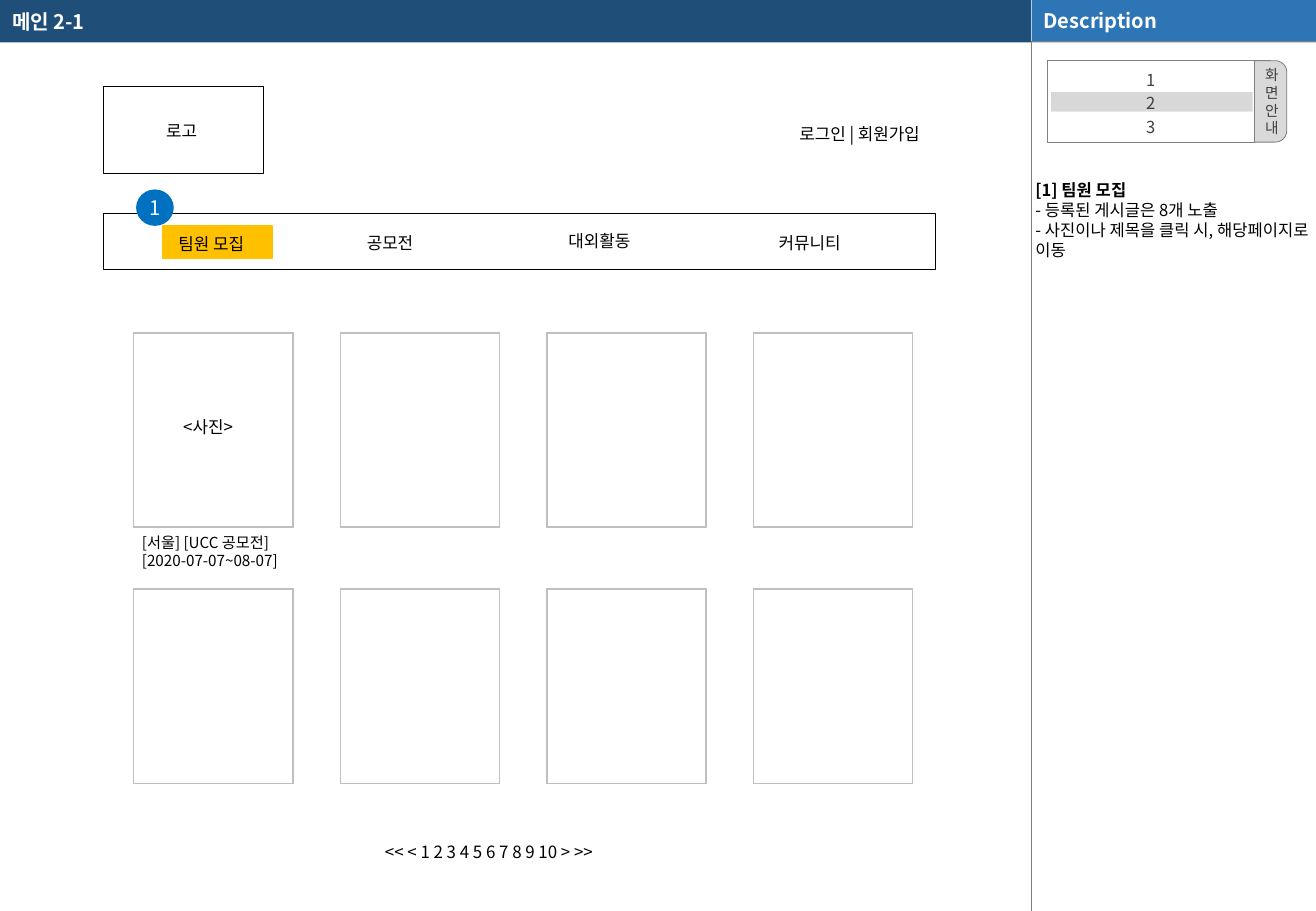
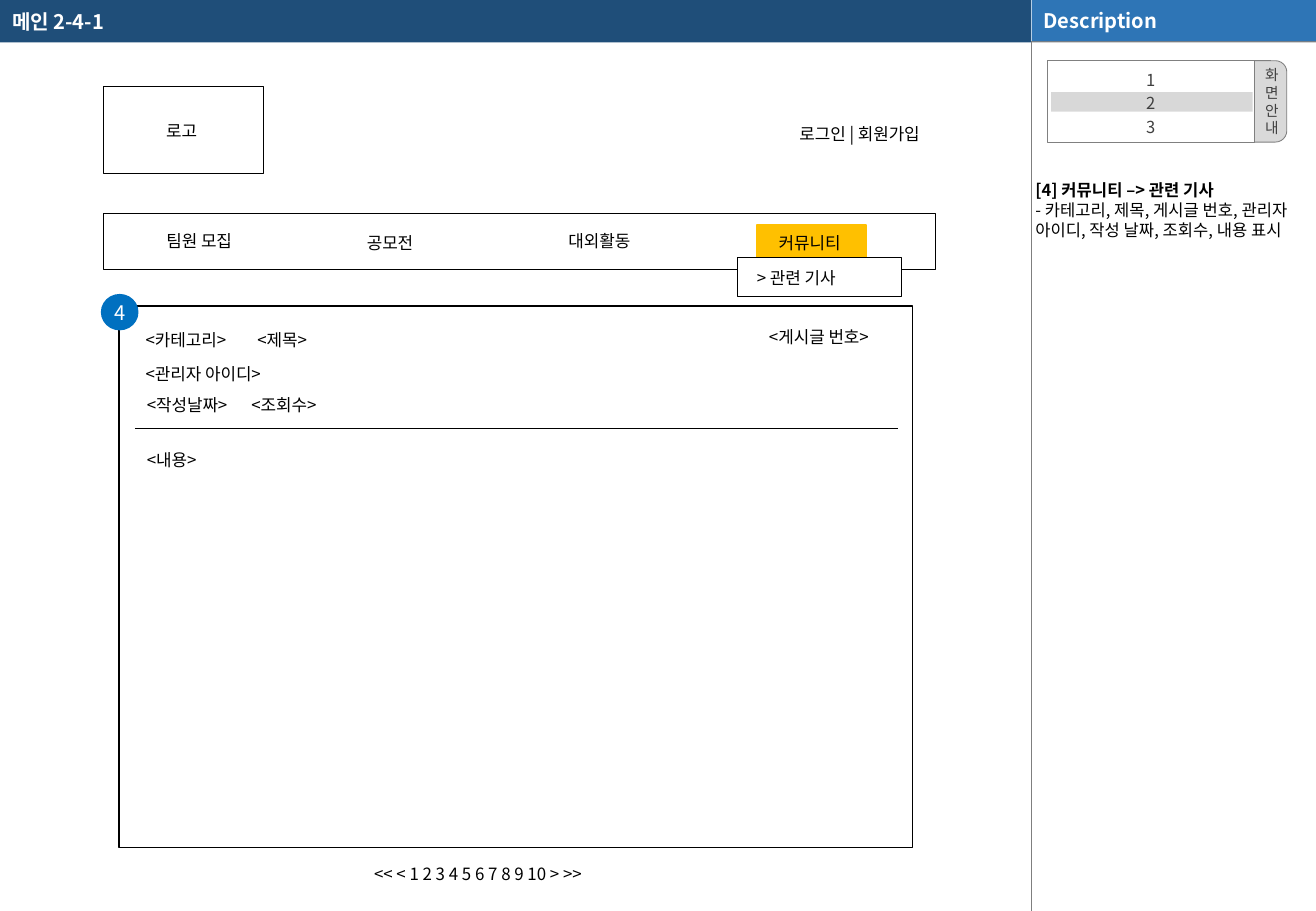
"""Build two wireframe screens with a shared header, navigation and description column."""
from dataclasses import dataclass
from typing import NamedTuple, Optional

from lxml import etree
from pptx import Presentation
from pptx import util as u
from pptx.dml.color import RGBColor
from pptx.enum import shapes, text
from pptx.oxml import ns

CELL = u.Inches(0.1)
COLS, ROWS = 108.3, 75
SIDE = 84.9
FONT = "Noto Sans CJK KR"
NAVY, BLUE, MARK, GOLD = "1F4E79", "2E75B6", "0070C0", "FFC000"
BLACK, WHITE, DARK, GRAY = "000000", "FFFFFF", "404040", "808080"
RULE, PALE, CARD = "7F7F7F", "D9D9D9", "BFBFBF"
RECT, OVAL = shapes.MSO_SHAPE.RECTANGLE, shapes.MSO_SHAPE.OVAL
ROUND = shapes.MSO_SHAPE.ROUNDED_RECTANGLE
LEFT, CENTER, RIGHT = text.PP_ALIGN.LEFT, text.PP_ALIGN.CENTER, text.PP_ALIGN.RIGHT
TOP, MIDDLE = text.MSO_ANCHOR.TOP, text.MSO_ANCHOR.MIDDLE


class Box(NamedTuple):
    col: float
    row: float
    cols: float
    rows: float

    def emu(self) -> list[int]:
        return [round(v * CELL) for v in self]


class Label(NamedTuple):
    text: str
    col: float
    row: float
    cols: float
    rows: float = 2.7
    size: float = 10


@dataclass
class Screen:
    title: str
    highlight: Box
    first_nav: tuple[float, float]
    pager: tuple[float, float]
    marker: tuple[str, float, float]
    notes: str


SCREENS = [
    Screen("메인 2-1", Box(13.4, 18.6, 9, 2.7), (13.7, 18.7), (30.7, 68.8),
           ("1", 11.2, 15.6),
           "[1] 팀원 모집\n- 등록된 게시글은 8개 노출\n"
           "- 사진이나 제목을 클릭 시, 해당페이지로 이동"),
    Screen("메인 2-4-1", Box(62.3, 18.5, 9, 2.7), (12.7, 18.5), (29.8, 70.6),
           ("4", 8.3, 24.2),
           "[4] 커뮤니티 –> 관련 기사\n- 카테고리, 제목, 게시글 번호, "
           "관리자 아이디, 작성 날짜, 조회수, 내용 표시"),
]
COMMON_LABELS = [
    Label("로고", 12.7, 9.4, 6),
    Label("로그인 | 회원가입", 64.8, 9.7, 14.5),
    Label("공모전", 29.2, 18.6, 6.8),
    Label("대외활동", 45.8, 18.5, 8.1),
    Label("커뮤니티", 63.1, 18.6, 8.5),
]
CARD_LABELS = [
    Label("<사진>", 14.1, 33.8, 9),
    Label("[서울] [UCC 공모전]\n[2020-07-07~08-07]", 10.7, 43.4, 15, 4, 9),
]
POST_LABELS = [
    Label("<게시글 번호>", 62.3, 26.4, 12.2),
    Label("<카테고리>", 11, 26.6, 10.7),
    Label("<제목>", 20.2, 26.6, 8),
    Label("<관리자 아이디>", 11, 29.4, 13.8),
    Label("<작성날짜>", 11.1, 32, 10.6),
    Label("<조회수>", 19.7, 32, 9),
    Label("<내용>", 11.1, 36.5, 8.6),
]


def rgb(value: str) -> RGBColor:
    return RGBColor.from_string(value)


def write(sp, words: str, size: float, color: str = BLACK, bold: bool = False,
          align=LEFT, anchor=MIDDLE, insets=(1, 0.5, 1, 0.5), leading: float = 1.2) -> None:
    tf = sp.text_frame
    tf.text = words
    tf.word_wrap = True
    tf.auto_size = text.MSO_AUTO_SIZE.NONE
    tf.vertical_anchor = anchor
    tf.margin_left, tf.margin_top, tf.margin_right, tf.margin_bottom = (
        round(v * CELL) for v in insets)
    for p in tf.paragraphs:
        p.alignment = align
        p.space_before = u.Pt(0)
        p.line_spacing = u.Pt(round(size * leading, 1))
        for r in p.runs:
            r.font.name = FONT
            r.font.size = u.Pt(size)
            r.font.bold = bold
            r.font.color.rgb = rgb(color)
            ea = etree.SubElement(r._r.get_or_add_rPr(), ns.qn("a:ea"))
            ea.set("typeface", FONT)


def add_shape(s, box: Box, fill: Optional[str] = None, line: Optional[str] = None,
              width: float = 0.75, kind=RECT):
    sp = s.shapes.add_shape(kind, *box.emu())
    sp.shadow.inherit = False
    if fill:
        sp.fill.solid()
        sp.fill.fore_color.rgb = rgb(fill)
    else:
        sp.fill.background()
    if line:
        sp.line.color.rgb = rgb(line)
        sp.line.width = u.Pt(width)
    else:
        sp.line.fill.background()
    return sp


def add_line(s, start: tuple[float, float], end: tuple[float, float],
             color: str, width: float) -> None:
    ends = (round(v * CELL) for v in (*start, *end))
    line = s.shapes.add_connector(shapes.MSO_CONNECTOR.STRAIGHT, *ends)
    line.line.color.rgb = rgb(color)
    line.line.width = u.Pt(width)
    etree.SubElement(line._element.spPr, ns.qn("a:effectLst"))


def add_label(s, label: Label) -> None:
    box = Box(label.col, label.row, label.cols, label.rows)
    write(s.shapes.add_textbox(*box.emu()), label.text, label.size)


def add_card(s, box: Box) -> None:
    table = s.shapes.add_table(1, 1, *box.emu()).table
    table.first_row = table.horz_banding = False
    cell = table.cell(0, 0)
    tc_pr = cell._tc.get_or_add_tcPr()
    for side in ("lnL", "lnR", "lnT", "lnB"):
        ln = etree.SubElement(tc_pr, ns.qn(f"a:{side}"), w=str(u.Pt(1)))
        fill = etree.SubElement(ln, ns.qn("a:solidFill"))
        etree.SubElement(fill, ns.qn("a:srgbClr"), val=CARD)
    cell.fill.background()


def add_frame(s, title: str) -> None:
    sp = s.shapes.title
    sp.left, sp.top, sp.width, sp.height = Box(0, 0, SIDE, 3.5).emu()
    sp.fill.solid()
    sp.fill.fore_color.rgb = rgb(NAVY)
    write(sp, title, 11.9, WHITE, True)
    add_shape(s, Box(SIDE, 0, COLS - SIDE, 3.5), GRAY)
    add_line(s, (SIDE, 0), (SIDE, 3.5), WHITE, 0.25)
    add_line(s, (SIDE, 3.4), (SIDE, ROWS), RULE, 0.25)
    head = add_shape(s, Box(SIDE, 0, COLS - SIDE, 3.4), BLUE)
    write(head, "Description", 11.9, WHITE, True)


def add_guide(s) -> None:
    tab = add_shape(s, Box(100.9, 5, 5, 6.7), PALE, GRAY, 0.5, ROUND)
    tab.adjustments[0] = 0.188
    write(tab, "화\n면\n안\n내", 8.7, DARK, align=RIGHT, insets=(0, 0, 0.4, 0))
    steps = add_shape(s, Box(86.2, 5, 17, 6.7), WHITE, GRAY, 0.5)
    write(steps, "1\n2\n3", 9.8, DARK, align=CENTER, insets=(0.4,) * 4, leading=1.42)
    current = add_shape(s, Box(86.5, 7.6, 16.6, 1.6), DARK)
    color = current._element.spPr.find(".//" + ns.qn("a:srgbClr"))
    etree.SubElement(color, ns.qn("a:alpha"), val="20000")


def add_notes(s, notes: str) -> None:
    sp = s.shapes.add_textbox(*Box(84.8, 14.8, 23.5, 60.2).emu())
    write(sp, notes, 9.8, anchor=TOP, insets=(0.4, 0, 0.4, 0))
    for r in sp.text_frame.paragraphs[0].runs:
        r.font.bold = True


def add_cards(s) -> None:
    for i in range(8):
        row, col = divmod(i, 4)
        add_card(s, Box(11 + 17 * col, 27.4 + 21.1 * row, 13.1, 16))
    for label in CARD_LABELS:
        add_label(s, label)


def add_post(s) -> None:
    add_shape(s, Box(9.8, 25.2, 65.3, 44.6), WHITE, BLACK)
    for label in POST_LABELS:
        add_label(s, label)
    add_line(s, (11.1, 35.3), (73.9, 35.3), BLACK, 0.5)
    add_shape(s, Box(60.7, 21.2, 13.5, 3.2), WHITE, BLACK, 1)
    add_label(s, Label("> 관련 기사", 61.3, 21.5, 12.2))


def add_screen(prs, screen: Screen, add_content) -> None:
    s = prs.slides.add_slide(prs.slide_layouts[5])
    add_frame(s, screen.title)
    add_shape(s, screen.highlight, GOLD, GOLD, 1)
    add_shape(s, Box(8.5, 7.1, 13.2, 7.2), line=BLACK)
    add_shape(s, Box(8.5, 17.6, 68.5, 4.6), line=BLACK)
    for label in COMMON_LABELS:
        add_label(s, label)
    add_label(s, Label("팀원 모집", *screen.first_nav, 8.8))
    add_label(s, Label("<< < 1 2 3 4 5 6 7 8 9 10 > >>", *screen.pager, 25.7))
    add_content(s)
    add_guide(s)
    add_notes(s, screen.notes)
    number, col, row = screen.marker
    marker = add_shape(s, Box(col, row, 3.1, 3), MARK, kind=OVAL)
    write(marker, number, 11.9, WHITE, align=CENTER, insets=(0,) * 4)


def main() -> None:
    prs = Presentation()
    prs.slide_width, prs.slide_height = round(COLS * CELL), ROWS * CELL
    for screen, add_content in zip(SCREENS, (add_cards, add_post)):
        add_screen(prs, screen, add_content)
    prs.save("out.pptx")


if __name__ == "__main__":
    main()
